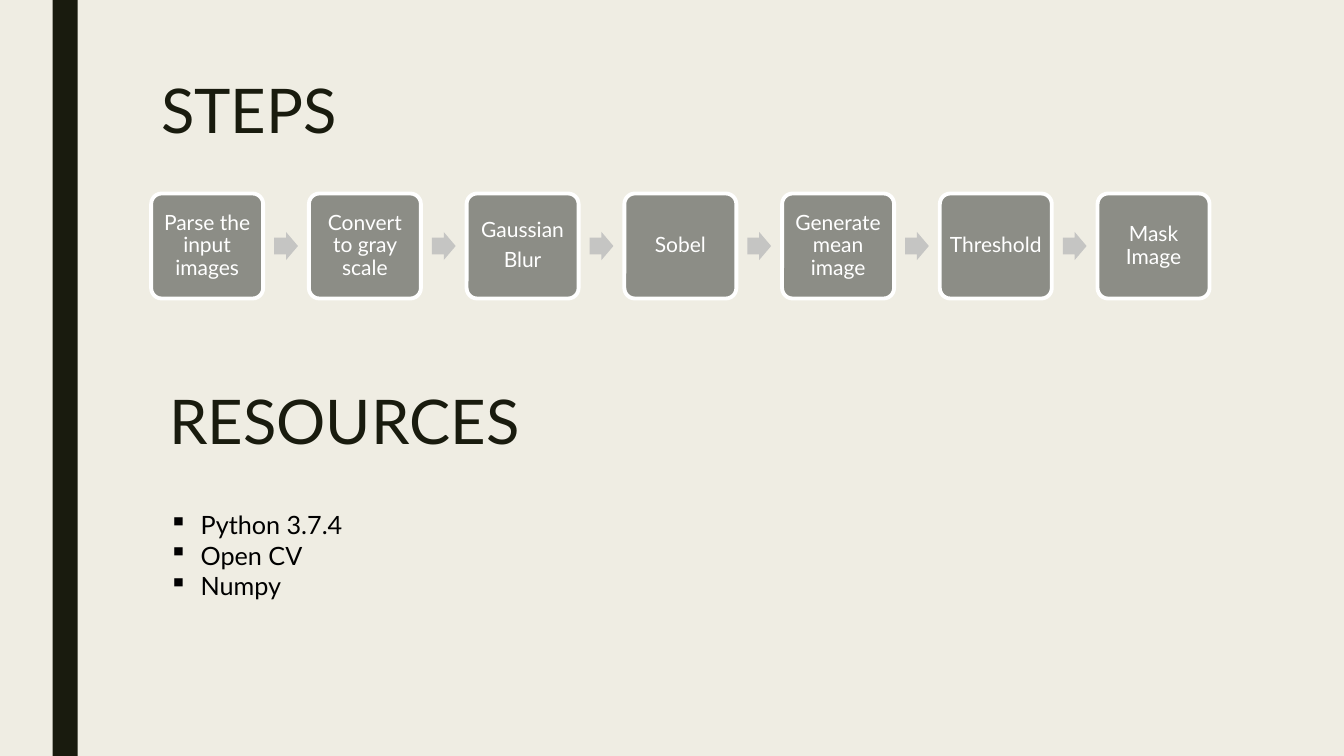
from dataclasses import dataclass

from lxml import etree
from pptx import Presentation
from pptx.dml.color import RGBColor
from pptx.enum.shapes import MSO_SHAPE
from pptx.enum.text import MSO_ANCHOR, PP_ALIGN
from pptx.oxml.ns import qn
from pptx.util import Pt

RECTANGLE = MSO_SHAPE.RECTANGLE
ROUNDED = MSO_SHAPE.ROUNDED_RECTANGLE
ARROW = MSO_SHAPE.RIGHT_ARROW
TOP, MIDDLE = MSO_ANCHOR.TOP, MSO_ANCHOR.MIDDLE
LEFT, CENTER = PP_ALIGN.LEFT, PP_ALIGN.CENTER


@dataclass(frozen=True)
class Theme:
    font: str = "Lato"
    paper: str = "EFEDE3"
    ink: str = "191B0E"
    body: str = "000000"
    step: str = "8C8D86"
    arrow: str = "C5C5C3"
    white: str = "FFFFFF"
    heading_size: float = 44
    body_size: float = 18
    step_size: float = 15
    border: float = 2.75


THEME = Theme()

STEPS = [
    ["Parse the input images"],
    ["Convert to gray scale"],
    ["Gaussian", "Blur"],
    ["Sobel"],
    ["Generate mean image"],
    ["Threshold"],
    ["Mask Image"],
]
RESOURCES = ["Python 3.7.4", "Open CV", "Numpy"]


def color(value):
    return RGBColor.from_string(value)


def apply(target, values):
    for name, value in values.items():
        setattr(target, name, value)


def write(frame, lines, size, ink, anchor=TOP, **formats):
    apply(frame, {"word_wrap": True, "vertical_anchor": anchor})
    for index, line in enumerate(lines):
        para = frame.add_paragraph() if index else frame.paragraphs[0]
        apply(para, formats)
        span = para.add_run()
        span.text = line
        apply(span.font, {"name": THEME.font, "size": Pt(size)})
        span.font.color.rgb = color(ink)


def add_text(page, box, lines, size, ink, **formats):
    shape = page.shapes.add_textbox(*map(Pt, box))
    write(shape.text_frame, lines, size, ink, alignment=LEFT, **formats)
    return shape


def add_block(page, kind, box, fill, adjustments=()):
    shape = page.shapes.add_shape(kind, *map(Pt, box))
    shape.shadow.inherit = False
    shape.fill.solid()
    shape.fill.fore_color.rgb = color(fill)
    shape.line.fill.background()
    for index, value in enumerate(adjustments):
        shape.adjustments[index] = value
    return shape


def draw_backdrop(page, box):
    page.background.fill.solid()
    page.background.fill.fore_color.rgb = color(THEME.paper)
    left, top, width, height = box
    add_block(page, RECTANGLE, (left + 37.5, top, 18, height), THEME.ink)


def draw_step(page, box, lines):
    shape = add_block(page, ROUNDED, box, THEME.step, [0.1])
    shape.line.color.rgb = color(THEME.white)
    shape.line.width = Pt(THEME.border)
    frame = shape.text_frame
    sides = ("margin_left", "margin_top", "margin_right", "margin_bottom")
    apply(frame, dict.fromkeys(sides, Pt(4.3)))
    write(frame, lines, THEME.step_size, THEME.white, MIDDLE,
          alignment=CENTER, line_spacing=0.9, space_after=Pt(5.25))


def draw_process(page, box):
    left, top, width, height = box
    step_width, arrow_width, arrow_height = 80, 17, 20
    pitch = (width - step_width) / (len(STEPS) - 1)
    arrow_offset = (step_width + pitch - arrow_width) / 2
    arrow_top = top + (height - arrow_height) / 2
    for index, lines in enumerate(STEPS):
        step_left = left + index * pitch
        draw_step(page, (step_left, top, step_width, height), lines)
        if index < len(STEPS) - 1:
            arrow_box = (step_left + arrow_offset, arrow_top, arrow_width, arrow_height)
            add_block(page, ARROW, arrow_box, THEME.arrow, [0.6, 0.5])


def draw_resources(page, box):
    left, top, width, height = box
    add_text(page, (left, top, 324, 60.5), ["RESOURCES"], THEME.heading_size, THEME.ink)
    bullets = add_text(page, (left, top + 90.5, width, height - 90.5), RESOURCES,
                       THEME.body_size, THEME.body)
    for para in bullets.text_frame.paragraphs:
        properties = para._p.get_or_add_pPr()
        properties.set("marL", str(Pt(22.5)))
        properties.set("indent", str(-Pt(22.5)))
        etree.SubElement(properties, qn("a:buChar")).set("char", "▪")


def main():
    deck = Presentation()
    deck.slide_width, deck.slide_height = Pt(960), Pt(540)
    page = deck.slides.add_slide(deck.slide_layouts[6])
    draw_backdrop(page, (0, 0, 960, 540))
    add_text(page, (108, 54, 756, 116.5), ["STEPS"], THEME.heading_size, THEME.ink,
             line_spacing=0.89)
    draw_process(page, (108, 138.25, 756, 75))
    draw_resources(page, (113.75, 270, 422.5, 185))
    deck.save("out.pptx")


if __name__ == "__main__":
    main()
